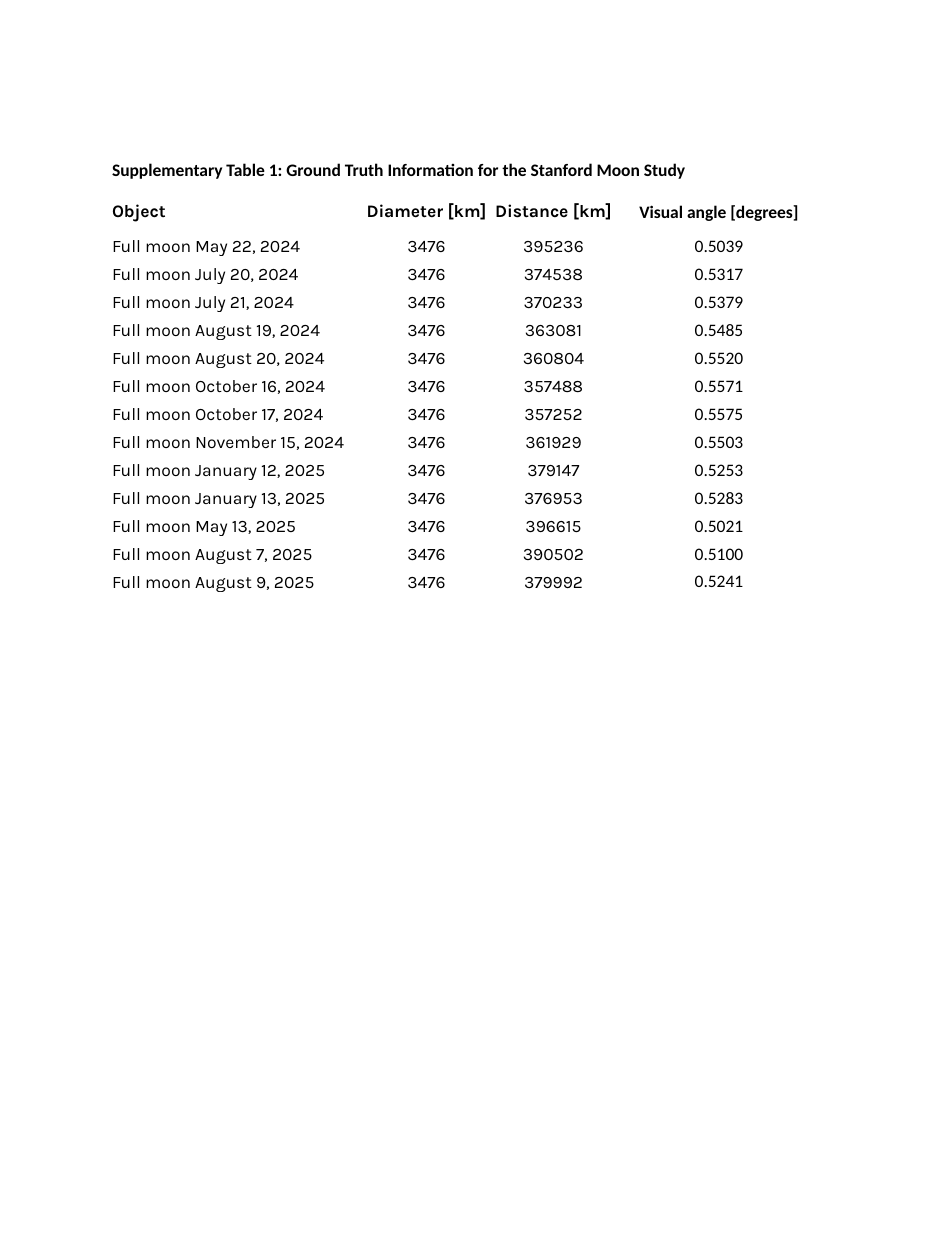
from lxml import etree
from pptx import Presentation
from pptx import util as u
from pptx.dml.color import RGBColor
from pptx.enum import text
from pptx.oxml.ns import qn

PX = 914400 // 126
COLORS = {"ink": "000000", "border": "FFFFFF"}
TITLE = "Supplementary Table 1: Ground Truth Information for the Stanford Moon Study"
HEADINGS = ["Object", "Diameter [km]", "Distance [km]", "Visual angle [degrees]"]
MOON_DIAMETER = "3476"
OBSERVATIONS = [
    ("May 22, 2024", "395236", "0.5039"),
    ("July 20, 2024", "374538", "0.5317"),
    ("July 21, 2024", "370233", "0.5379"),
    ("August 19, 2024", "363081", "0.5485"),
    ("August 20, 2024", "360804", "0.5520"),
    ("October 16, 2024", "357488", "0.5571"),
    ("October 17, 2024", "357252", "0.5575"),
    ("November 15, 2024", "361929", "0.5503"),
    ("January 12, 2025", "379147", "0.5253"),
    ("January 13, 2025", "376953", "0.5283"),
    ("May 13, 2025", "396615", "0.5021"),
    ("August 7, 2025", "390502", "0.5100"),
    ("August 9, 2025", "379992", "0.5241"),
]
COLUMN_WIDTHS = [252, 127, 127, 204]
TITLE_HEIGHT, ROW_HEIGHT = 42, 28


def add_borders(cell):
    properties = cell._tc.get_or_add_tcPr()
    for position, side in enumerate(("lnL", "lnR", "lnT", "lnB")):
        line = etree.Element(qn(f"a:{side}"), w=str(u.Pt(1)))
        fill = etree.SubElement(line, qn("a:solidFill"))
        etree.SubElement(fill, qn("a:srgbClr"), val=COLORS["border"])
        properties.insert(position, line)


moon_rows = [[TITLE, "", "", ""], HEADINGS] + [
    [f"Full moon {date}", MOON_DIAMETER, distance, angle]
    for date, distance, angle in OBSERVATIONS
]
row_heights = [TITLE_HEIGHT] + [ROW_HEIGHT] * (len(moon_rows) - 1)

prs = Presentation()
prs.slide_width, prs.slide_height = u.Inches(7.5), u.Inches(10)
slide = prs.slides.add_slide(prs.slide_layouts[6])
moon_table = slide.shapes.add_table(
    len(moon_rows), len(HEADINGS), 111 * PX, 159 * PX,
    sum(COLUMN_WIDTHS) * PX, sum(row_heights) * PX,
).table
moon_table.first_row = moon_table.horz_banding = False
for column, width in zip(moon_table.columns, COLUMN_WIDTHS):
    column.width = width * PX
for row, height in zip(moon_table.rows, row_heights):
    row.height = height * PX
moon_table.cell(0, 0).merge(moon_table.cell(0, len(HEADINGS) - 1))

for r, values in enumerate(moon_rows):
    for c, value in enumerate(values):
        cell = moon_table.cell(r, c)
        cell.margin_left = cell.margin_right = cell.margin_top = PX
        cell.margin_bottom = 0
        cell.vertical_anchor = text.MSO_ANCHOR.TOP if r < 2 else text.MSO_ANCHOR.BOTTOM
        cell.fill.background()
        add_borders(cell)
        cell.text = value
        paragraph = cell.text_frame.paragraphs[0]
        if r == 0:
            paragraph.alignment = text.PP_ALIGN.JUSTIFY
        else:
            paragraph.alignment = text.PP_ALIGN.CENTER if c else text.PP_ALIGN.LEFT
        font = paragraph.font
        font.name = "Calibri" if r == 0 or c == 3 else "Karla"
        font.size = u.Pt(10)
        font.bold = r < 2
        font.color.rgb = RGBColor.from_string(COLORS["ink"])

prs.save("out.pptx")
